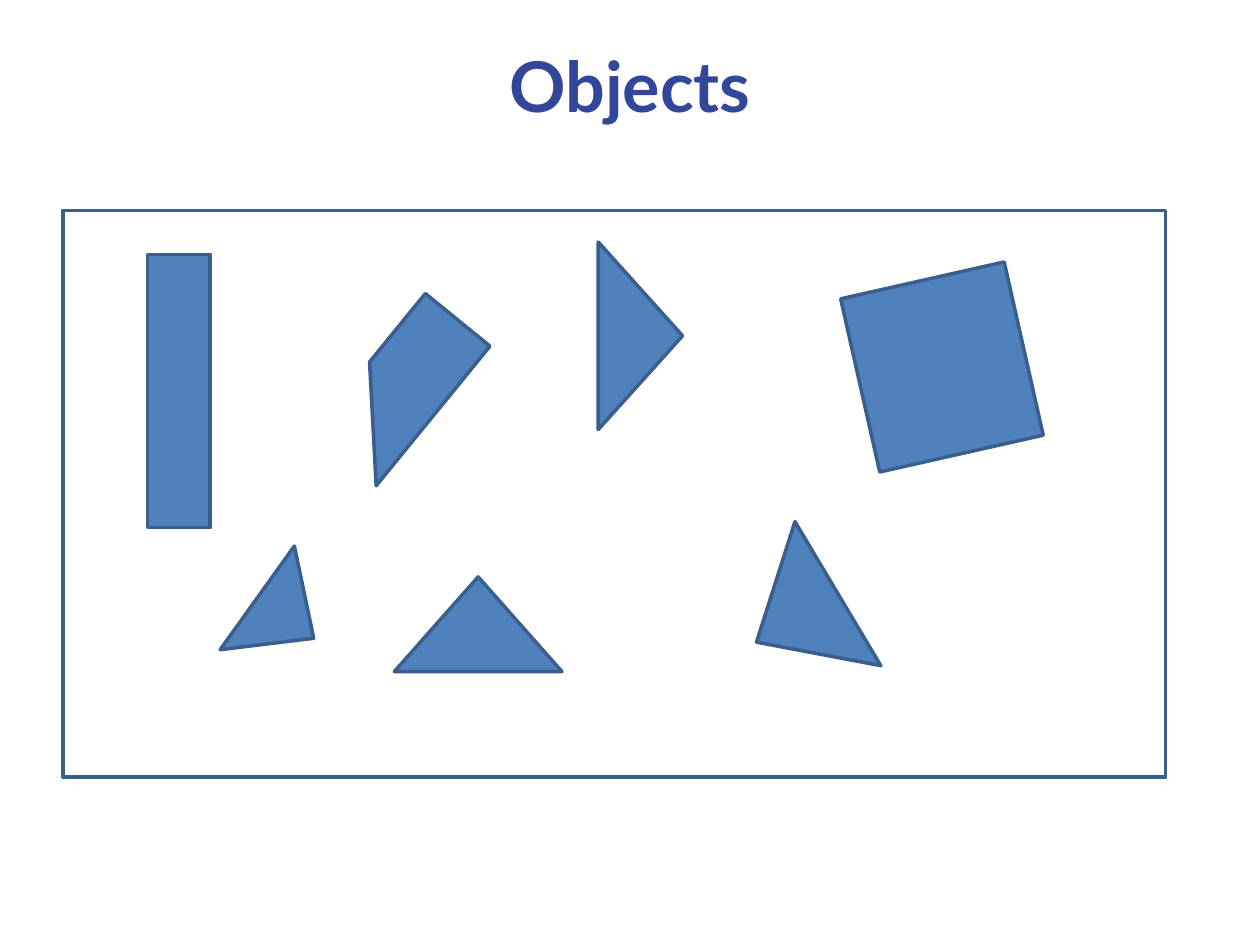
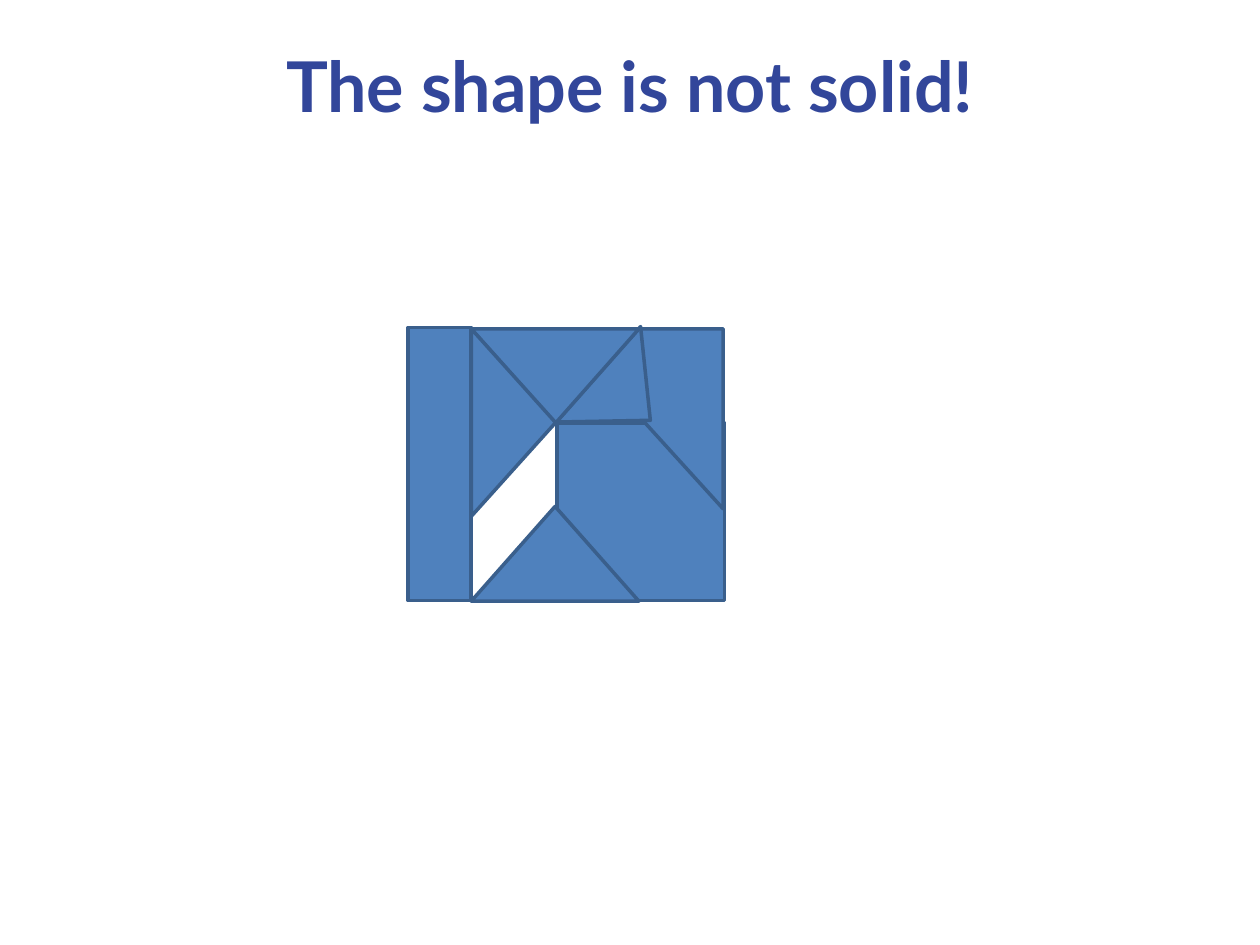
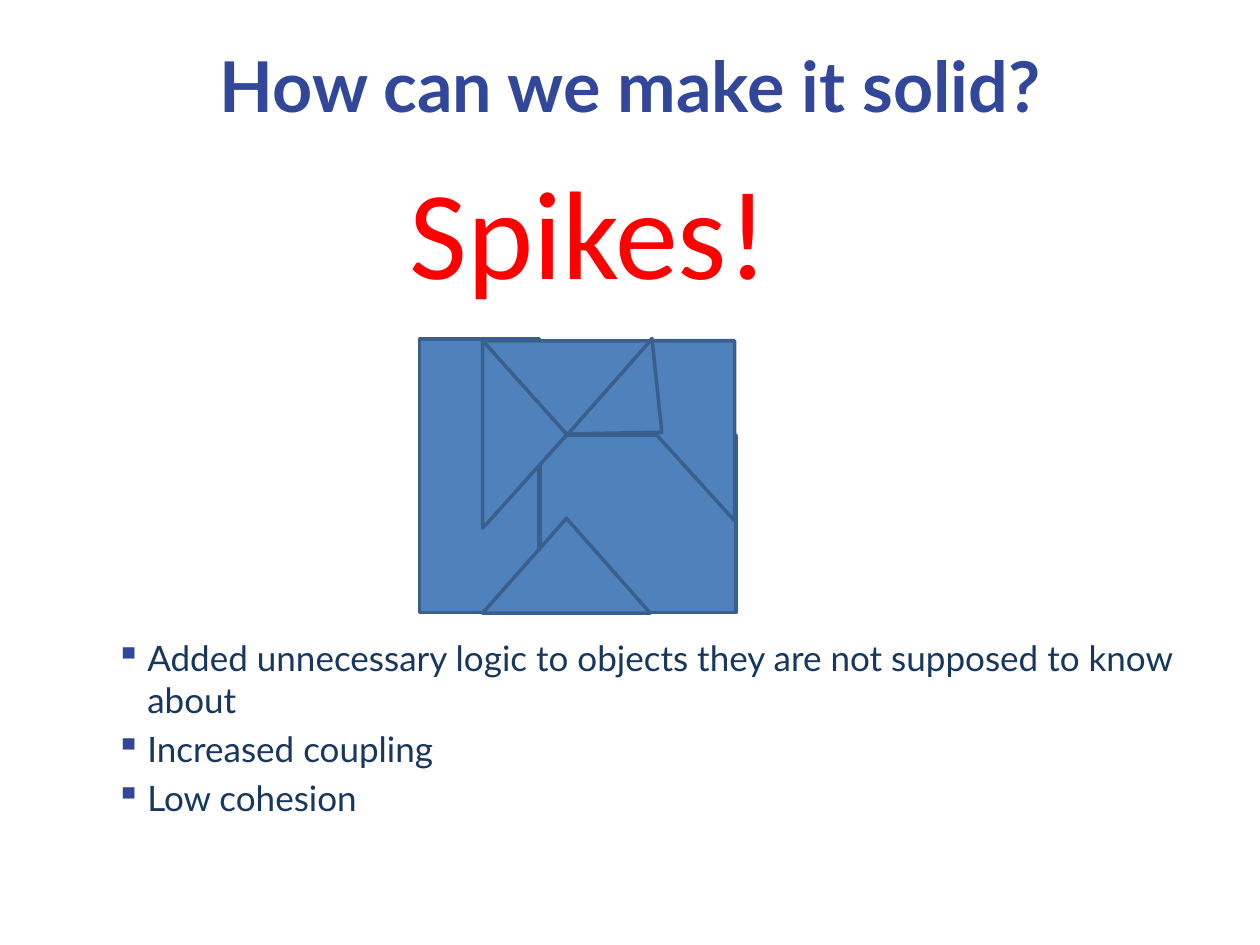
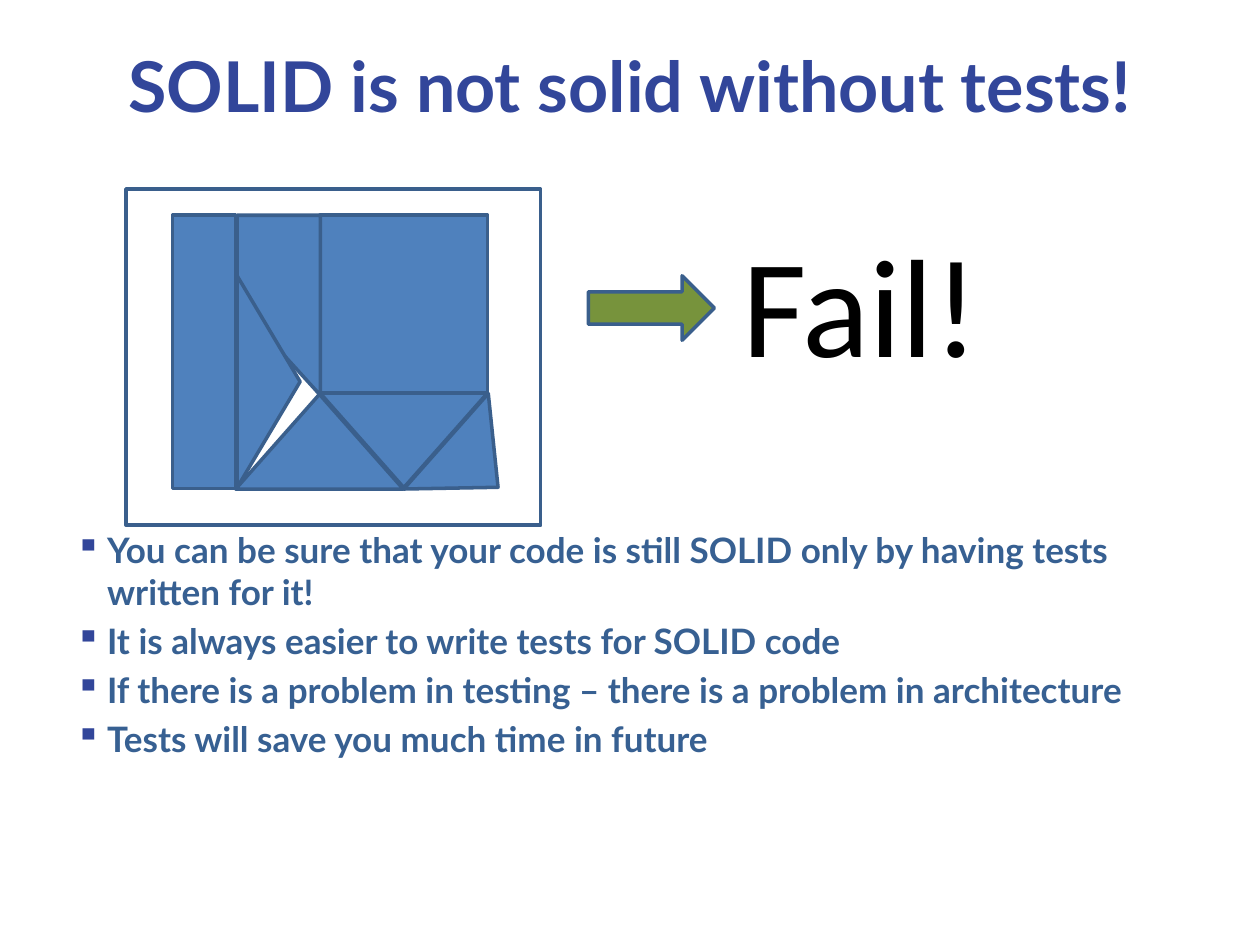
"""Build four slides that explain solid design with loose and fitted pieces."""
import dataclasses

import lxml.etree
import pptx
import pptx.dml.color
import pptx.enum.shapes
import pptx.enum.text
import pptx.oxml.ns
import pptx.util

Cm = pptx.util.Cm
Pt = pptx.util.Pt
Preset = pptx.enum.shapes.MSO_SHAPE
Align = pptx.enum.text.PP_ALIGN
Anchor = pptx.enum.text.MSO_ANCHOR
Fit = pptx.enum.text.MSO_AUTO_SIZE


@dataclasses.dataclass(frozen=True)
class Theme:
    """Colours, fonts and type sizes of the deck."""
    piece: str = "4F81BD"
    outline: str = "3A5F8C"
    paper: str = "FFFFFF"
    arrow: str = "77933C"
    title: str = "32469A"
    dark_text: str = "17375E"
    blue_text: str = "376092"
    alert: str = "FF0000"
    black: str = "000000"
    main_font: str = "Lato"
    shout_font: str = "Calibri"
    title_size: int = 40
    body_size: int = 20
    spikes_size: int = 72
    fail_size: int = 80
    line_width: int = 2


@dataclasses.dataclass(frozen=True)
class Box:
    """A region of the page in centimetres."""
    left: float
    top: float
    width: float
    height: float

    def inner(self, left, top, width, height):
        """Return a box placed from this box's top left corner."""
        return Box(self.left + left, self.top + top, width, height)

    def lengths(self):
        """Return left, top, width and height as slide lengths."""
        return [Cm(value) for value in (self.left, self.top, self.width, self.height)]


THEME = Theme()
TITLE_BOX = Box(1.27, 0.43, 22.86, 2.54)

PIECES = {
    "bar": (Preset.RECTANGLE, 1.27, 5.51),
    "square": (Preset.RECTANGLE, 3.38, 3.58),
    "triangle": (Preset.ISOSCELES_TRIANGLE, 3.38, 1.91),
    "wide": (Preset.ISOSCELES_TRIANGLE, 3.78, 1.7),
    "small": (Preset.ISOSCELES_TRIANGLE, 2.57, 1.4),
    "blade": (Preset.ISOSCELES_TRIANGLE, 4.27, 1.27),
}
WEDGE = [(0, 0), (1.68, 0), (1.68, 3.63), (0, 1.78)]


def colour(code):
    """Turn a hex code into a colour."""
    return pptx.dml.color.RGBColor.from_string(code)


def apply(target, formats):
    """Set each attribute named in the dict."""
    for name, value in formats.items():
        setattr(target, name, value)


def paint(shape, fill, rotation=0):
    """Give a shape its fill, outline and rotation."""
    shape.shadow.inherit = False
    shape.fill.solid()
    shape.fill.fore_color.rgb = colour(fill)
    shape.line.color.rgb = colour(THEME.outline)
    shape.line.width = Pt(THEME.line_width)
    shape.rotation = rotation
    return shape


def add_preset(page, preset, box, fill, rotation=0):
    """Add one painted preset shape."""
    return paint(page.shapes.add_shape(preset, *box.lengths()), fill, rotation)


def add_piece(page, region, kind, left, top, rotation=0, extra=0):
    """Add a puzzle piece within a region, widened by extra."""
    if kind == "wedge":
        points = [(Cm(region.left + left + x), Cm(region.top + top + y)) for x, y in WEDGE]
        builder = page.shapes.build_freeform(*points[0])
        builder.add_line_segments(points[1:], close=True)
        return paint(builder.convert_to_shape(), THEME.piece, rotation)
    preset, width, height = PIECES[kind]
    box = region.inner(left, top, width + extra, height)
    return add_preset(page, preset, box, THEME.piece, rotation)


def add_pieces(page, region, pieces):
    """Add a list of pieces within a region."""
    for piece in pieces:
        add_piece(page, region, *piece)


def add_span(para, words, font, size, code, bold=False):
    """Add one formatted run to a paragraph."""
    span = para.add_run()
    span.text = words
    apply(span.font, {"name": font, "size": Pt(size), "bold": bold})
    span.font.color.rgb = colour(code)


def add_page(deck, words):
    """Add a title-only page with its formatted title."""
    page = deck.slides.add_slide(deck.slide_layouts[5])
    title = page.shapes.title
    apply(title, dict(zip(("left", "top", "width", "height"), TITLE_BOX.lengths())))
    apply(title.text_frame, {"vertical_anchor": Anchor.MIDDLE, "word_wrap": True})
    para = title.text_frame.paragraphs[0]
    para.alignment = Align.CENTER
    add_span(para, words, THEME.main_font, THEME.title_size, THEME.title, True)
    return page


def add_shout(page, box, words, size, code, wrap):
    """Add one large exclamation."""
    frame = page.shapes.add_textbox(*box.lengths()).text_frame
    apply(frame, {"word_wrap": wrap, "auto_size": Fit.SHAPE_TO_FIT_TEXT})
    add_span(frame.paragraphs[0], words, THEME.shout_font, size, code)


def add_bullet(para):
    """Give a paragraph a hanging square bullet."""
    properties = para._p.get_or_add_pPr()
    apply(para, {"space_before": Pt(THEME.body_size * 0.2)})
    properties.set("marL", str(Cm(0.64)))
    properties.set("indent", str(-Cm(0.64)))
    qualify = pptx.oxml.ns.qn
    tint = lxml.etree.SubElement(properties, qualify("a:buClr"))
    lxml.etree.SubElement(tint, qualify("a:srgbClr"), val=THEME.title)
    lxml.etree.SubElement(properties, qualify("a:buChar"), char="▪")


def add_points(page, box, points, code, bold=False):
    """Add a bulleted list."""
    frame = page.shapes.add_textbox(*box.lengths()).text_frame
    frame.word_wrap = True
    for index, words in enumerate(points):
        para = frame.add_paragraph() if index else frame.paragraphs[0]
        add_bullet(para)
        add_span(para, words, THEME.main_font, THEME.body_size, code, bold)


def add_assembly(page, region, bar_spike=0, square_spike=0):
    """Fit the pieces together, with spikes that close the gap."""
    add_piece(page, region, "bar", 0, 0, extra=bar_spike)
    add_piece(page, region, "square", 3 - square_spike, 1.93, extra=square_spike)
    add_pieces(page, region, [
        ("wedge", 4.67, 0.03),
        ("small", 3.07, 0.71, 131.5),
        ("triangle", 1.27, 0.03, 180),
        ("triangle", 1.27, 3.61),
        ("wide", 0.23, 1.07, 90),
    ])


def add_framed_pieces(page, frame, pieces):
    """Place pieces inside an outlined frame."""
    add_preset(page, Preset.RECTANGLE, frame, THEME.paper)
    add_pieces(page, frame, pieces)


def objects_page(deck):
    """Show the loose pieces."""
    page = add_page(deck, "Objects")
    add_framed_pieces(page, Box(1.27, 4.24, 22.23, 11.43), [
        ("bar", 1.7, 0.89),
        ("triangle", 6.68, 7.39),
        ("wide", 9.75, 1.68, 90),
        ("triangle", 13.11, 7.26, 239.2),
        ("square", 16.03, 1.37, 347.3),
        ("wedge", 5.97, 1.8, 39.2),
        ("small", 3.2, 7.52, 125.6),
    ])


def gap_page(deck):
    """Show the assembly with its gap."""
    page = add_page(deck, "The shape is not solid!")
    add_assembly(page, Box(8.23, 6.6, 6.38, 5.51))


def spikes_page(deck):
    """Show the assembly closed with spikes."""
    page = add_page(deck, "How can we make it solid?")
    add_assembly(page, Box(8.46, 6.84, 6.38, 5.51), 1.14, 0.56)
    add_points(page, Box(2.08, 12.7, 22.07, 4.01), [
        "Added unnecessary logic to objects they are not supposed to know about",
        "Increased coupling",
        "Low cohesion",
    ], THEME.dark_text)
    add_shout(page, Box(8, 2.97, 7.82, 3.33), "Spikes!", THEME.spikes_size, THEME.alert, False)


def tests_page(deck):
    """Show a failing assembly and the case for tests."""
    page = add_page(deck, "SOLID is not solid without tests!")
    add_framed_pieces(page, Box(2.54, 3.81, 8.36, 6.78), [
        ("bar", 0.94, 0.53),
        ("triangle", 2.21, 4.14),
        ("triangle", 3.91, 4.11, 180),
        ("square", 3.91, 0.53),
        ("wedge", 2.24, 0.53),
        ("small", 5.69, 4.85, 131.5),
        ("blade", 0.74, 3.25, 90),
    ])
    add_preset(page, Preset.RIGHT_ARROW, Box(11.86, 5.56, 2.54, 1.3), THEME.arrow)
    add_shout(page, Box(14.71, 4.27, 7.82, 3.68), "Fail!", THEME.fail_size, THEME.black, True)
    add_points(page, Box(1.27, 10.52, 22.86, 7.44), [
        "You can be sure that your code is still SOLID only by having tests written for it!",
        "It is always easier to write tests for SOLID code",
        "If there is a problem in testing – there is a problem in architecture",
        "Tests will save you much time in future",
    ], THEME.blue_text, True)


def main():
    """Build and save the deck."""
    deck = pptx.Presentation()
    apply(deck, {"slide_width": Cm(25.4), "slide_height": Cm(19.05)})
    for build in (objects_page, gap_page, spikes_page, tests_page):
        build(deck)
    deck.save("out.pptx")


main()
